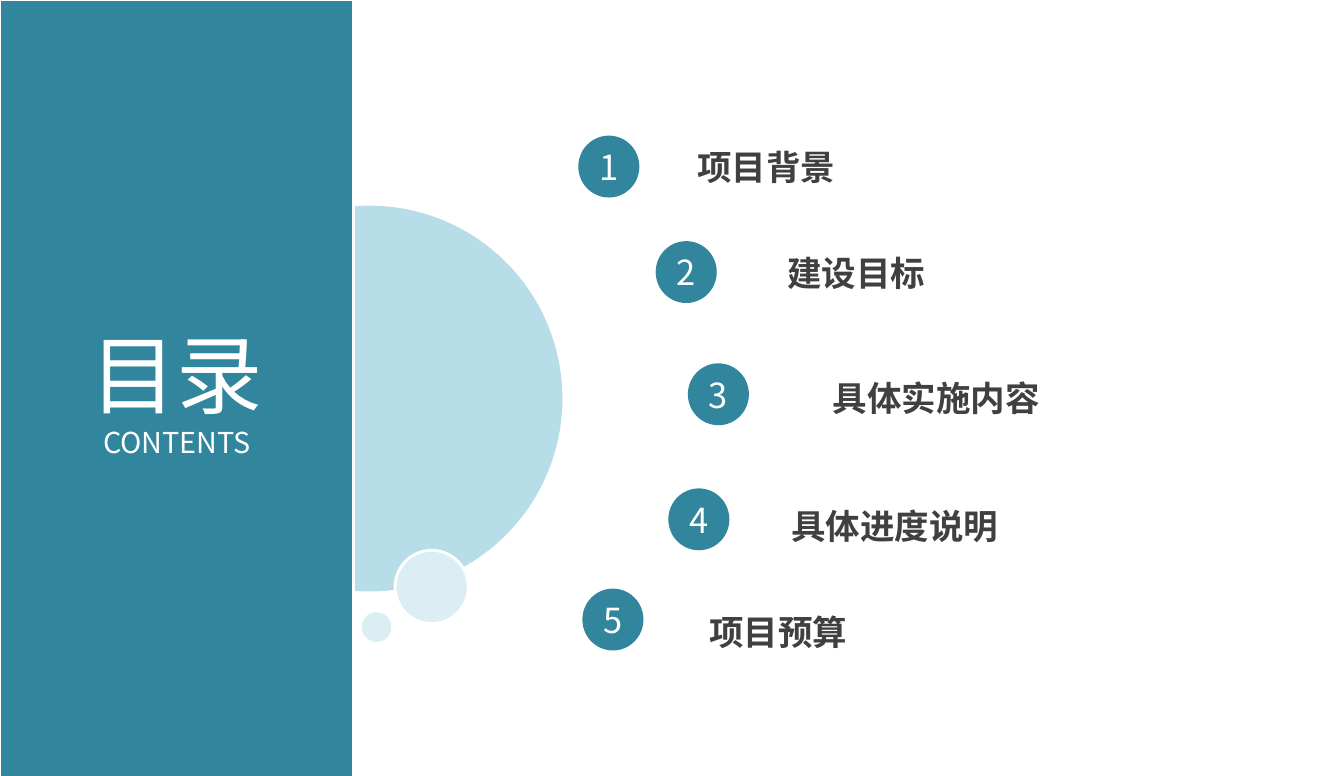
"""Build the contents slide with a side panel and five numbered topics."""
from lxml import etree
from pptx import Presentation
from pptx.dml.color import RGBColor
from pptx.enum.shapes import MSO_SHAPE
from pptx.enum.text import MSO_ANCHOR, MSO_AUTO_SIZE, PP_ALIGN
from pptx.oxml.ns import qn
from pptx.util import Cm, Pt

OVAL = MSO_SHAPE.OVAL
MIDDLE = MSO_ANCHOR.MIDDLE
NO_AUTOFIT = MSO_AUTO_SIZE.NONE
CENTER, LEFT = PP_ALIGN.CENTER, PP_ALIGN.LEFT

COLORS = {
    "teal": "31859C",
    "sky": "B7DEE8",
    "mist": "DBEEF4",
    "white": "FFFFFF",
    "ink": "404040",
}
TOPICS = [
    ("项目背景", (14.2, 3.33), (17.02, 2.92, 9.68)),
    ("建设目标", (16.1, 5.92), (19.23, 5.54, 8.08)),
    ("具体实施内容", (16.89, 8.92), (20.35, 8.59, 8.15)),
    ("具体进度说明", (16.41, 11.99), (19.33, 11.73, 9.98)),
    ("项目预算", (14.3, 14.45), (17.32, 14.33, 9.98)),
]


class ContentsSlide:
    """Hold the style and the current slide."""

    font_name = "Noto Sans CJK SC"
    badge_size = (1.5, 1.52)
    label_height = 2.13

    def __init__(self, presentation):
        """Add a slide with only a title placeholder."""
        self.slide = presentation.slides.add_slide(presentation.slide_layouts[5])

    def paint(self, shape, fill, outlined=False):
        """Fill a shape and give it a white outline or none."""
        shape.fill.solid()
        shape.fill.fore_color.rgb = RGBColor.from_string(COLORS[fill])
        if outlined:
            shape.line.color.rgb = RGBColor.from_string(COLORS["white"])
            shape.line.width = Pt(2)
        else:
            shape.line.fill.background()

    def set_text(self, shape, lines, color, alignment=CENTER, spacing=1.0, inset=0, bold=False):
        """Put (text, size) lines into a shape, one paragraph each."""
        frame = shape.text_frame
        frame_format = {
            "word_wrap": True, "auto_size": NO_AUTOFIT, "vertical_anchor": MIDDLE,
            "margin_left": Cm(inset), "margin_right": 0, "margin_top": 0, "margin_bottom": 0,
        }
        for name, value in frame_format.items():
            setattr(frame, name, value)
        frame.text = "\n".join(text for text, size in lines)
        for paragraph, (text, size) in zip(frame.paragraphs, lines):
            paragraph.alignment = alignment
            paragraph.line_spacing = spacing
            font = paragraph.runs[0].font
            font_format = {"name": self.font_name, "size": Pt(size), "bold": bold}
            for name, value in font_format.items():
                setattr(font, name, value)
            font.color.rgb = RGBColor.from_string(COLORS[color])
        for properties in shape.element.iter(qn("a:rPr")):
            etree.SubElement(properties, qn("a:ea"), typeface=self.font_name)

    def circle(self, left, top, width, height, fill, outlined=False):
        """Add a flat ellipse."""
        shape = self.slide.shapes.add_shape(OVAL, Cm(left), Cm(top), Cm(width), Cm(height))
        shape.shadow.inherit = False
        self.paint(shape, fill, outlined)
        return shape

    def title_panel(self, left, top, width, height, lines):
        """Turn the title placeholder into the side panel, in front of earlier shapes."""
        title = self.slide.shapes.title
        box = {"left": left, "top": top, "width": width, "height": height}
        for name, value in box.items():
            setattr(title, name, Cm(value))
        self.paint(title, "teal", outlined=True)
        self.set_text(title, lines, "white")
        title.element.getparent().append(title.element)

    def label(self, left, top, width, text):
        """Add a bold topic label."""
        box = self.slide.shapes.add_textbox(Cm(left), Cm(top), Cm(width), Cm(self.label_height))
        self.set_text(box, [(text, 24)], "ink", LEFT, spacing=1.2, inset=0.1, bold=True)

    def badge(self, left, top, number):
        """Add a numbered circle."""
        shape = self.circle(left, top, *self.badge_size, "teal")
        self.set_text(shape, [(str(number), 24)], "white")


def main():
    """Build and save the presentation."""
    presentation = Presentation()
    presentation.slide_width, presentation.slide_height = Cm(33), Cm(19.05)
    contents = ContentsSlide(presentation)
    contents.circle(4.34, 5.05, 9.47, 9.47, "sky")
    contents.title_panel(0, 0, 8.69, 19.15, [("目录", 60), ("CONTENTS", 20)])
    for number, (text, badge_place, label_place) in enumerate(TOPICS, start=1):
        contents.label(*label_place, text)
        contents.badge(*badge_place, number)
    contents.circle(9.7, 13.51, 1.8, 1.8, "mist", outlined=True)
    contents.circle(8.84, 14.99, 0.81, 0.81, "mist", outlined=True)
    presentation.save("out.pptx")


if __name__ == "__main__":
    main()
